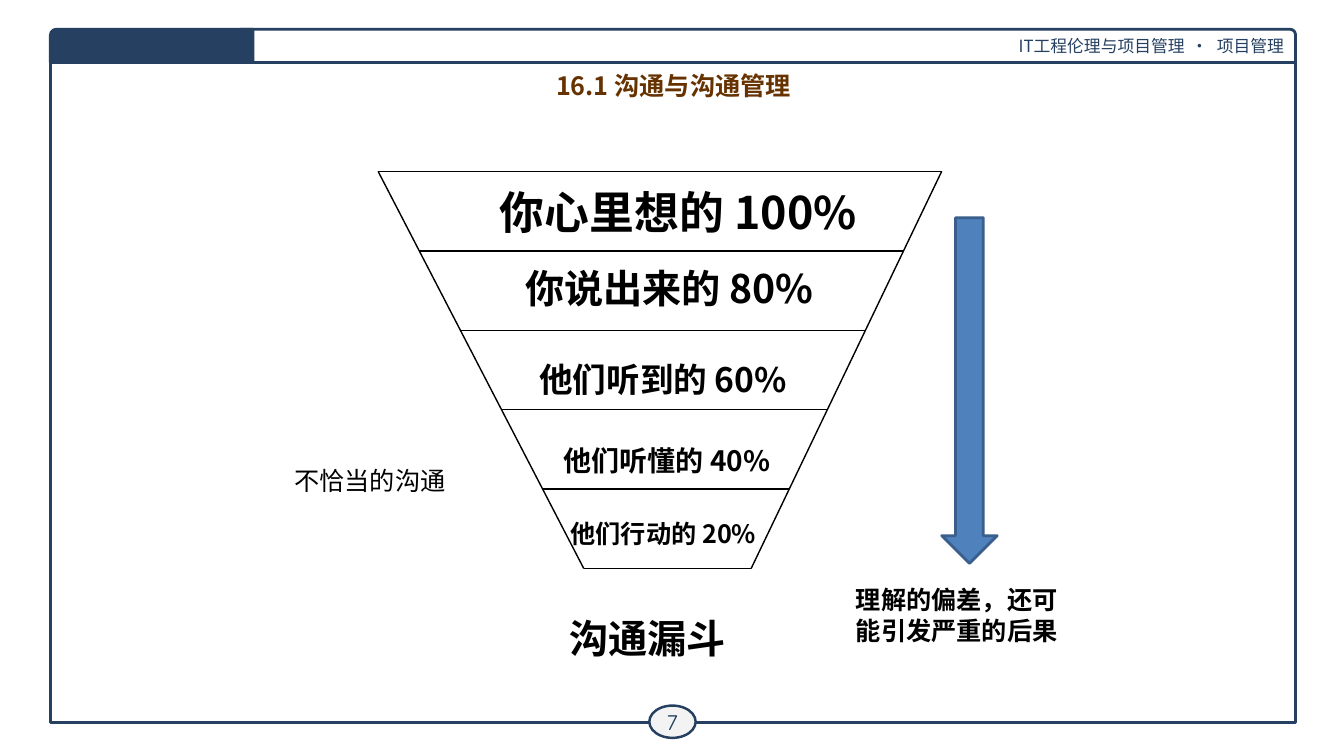
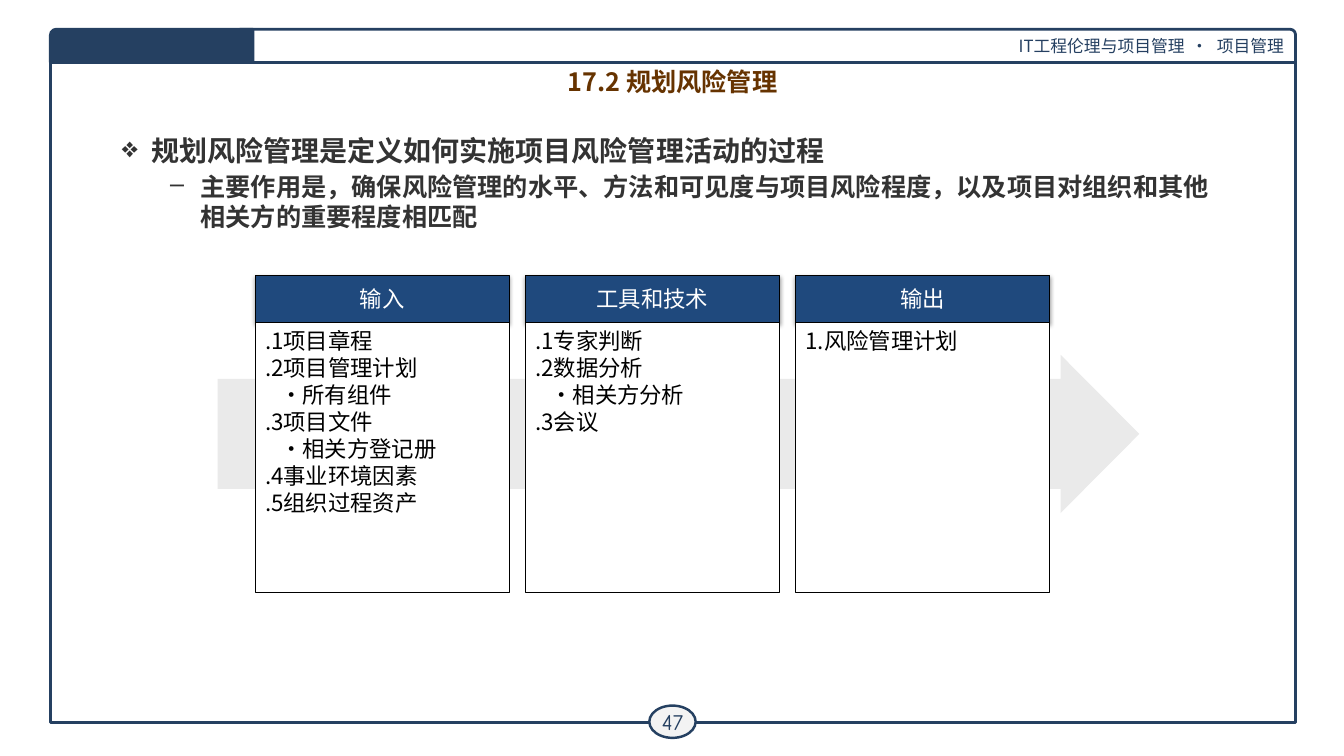
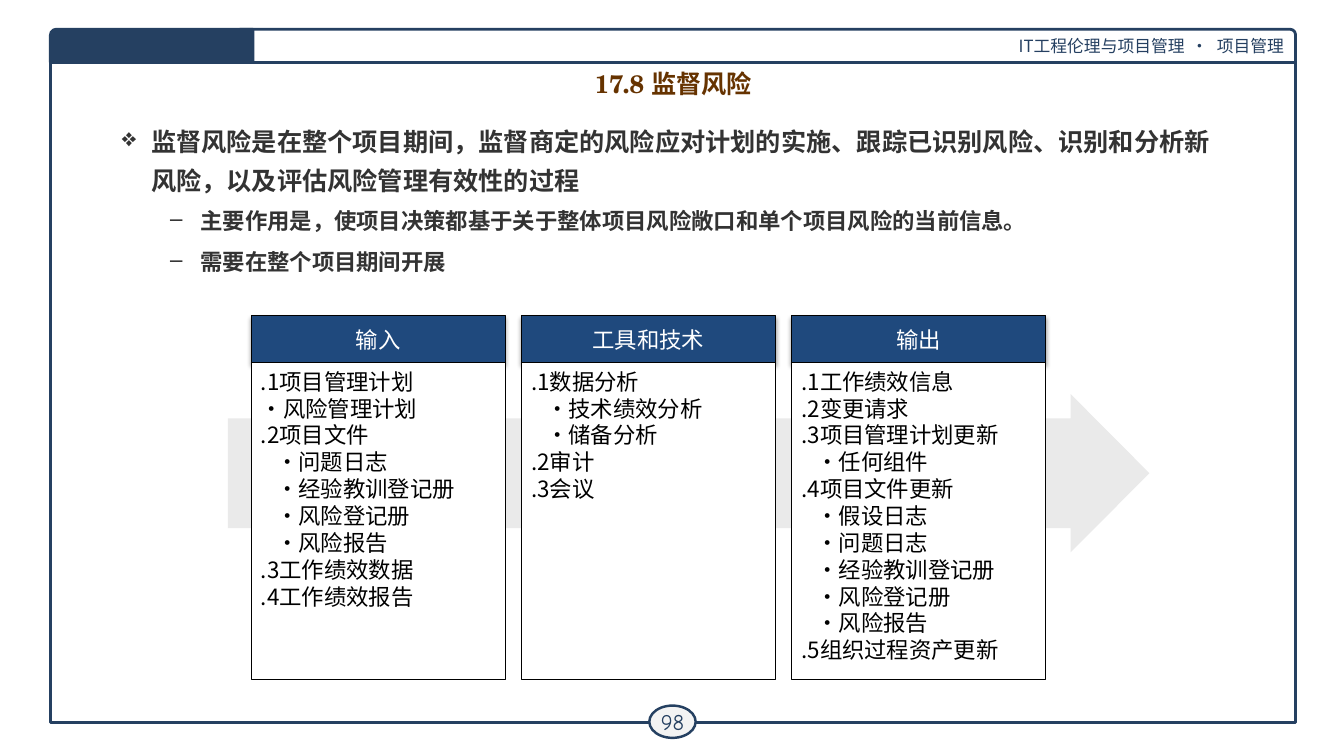
from dataclasses import dataclass
from itertools import pairwise

from lxml.etree import SubElement
from pptx import Presentation
from pptx.dml.color import RGBColor
from pptx.enum.shapes import MSO_CONNECTOR, MSO_SHAPE
from pptx.enum.text import MSO_ANCHOR, PP_ALIGN
from pptx.oxml.ns import qn
from pptx.util import Emu, Pt

PX = 9144  # EMU per px, 100 px to the inch


@dataclass(frozen=True)
class Theme:
    navy: str = "254061"
    header: str = "1F497D"
    arrow: str = "4F81BD"
    arrow_edge: str = "3A5F8C"
    flow: str = "EAEAEA"
    badge: str = "F3F3F3"
    title: str = "663300"
    body: str = "333333"
    black: str = "000000"
    white: str = "FFFFFF"
    font: str = "Noto Sans CJK SC"
    badge_font: str = "Comic Neue"
    text: int = 18
    item: int = 16
    small: int = 12


T = Theme()


@dataclass(frozen=True)
class Box:
    left: int
    top: int
    width: int
    height: int

    def emu(self) -> list[Emu]:
        return [Emu(v * PX) for v in (self.left, self.top, self.width, self.height)]


@dataclass(frozen=True)
class Label:
    text: str
    box: Box
    size: int = T.text
    bold: bool = True
    align: PP_ALIGN = PP_ALIGN.LEFT
    spacing: float = 1.0


@dataclass(frozen=True)
class Point:
    text: str
    size: int
    level: int = 0
    spacing: float = 1.0


@dataclass(frozen=True)
class Column:
    heading: str
    items: tuple[str, ...]


@dataclass(frozen=True)
class Process:
    number: int
    title: str
    title_box: Box
    title_font: str
    body_box: Box
    body_font: str
    points: tuple[Point, ...]
    arrow: Box
    left: int
    top: int
    height: int
    columns: tuple[Column, ...]


# Text
def add_run(p, text, *, size=T.text, color=T.black, bold=False, font=T.font, tracking=0):
    r = p.add_run()
    r.text = text
    r.font.size, r.font.bold, r.font.name = Pt(size), bold, font
    r.font.color.rgb = RGBColor.from_string(color)
    rPr = r.font._element
    SubElement(rPr, qn("a:ea")).set("typeface", T.font)
    if tracking:
        rPr.set("spc", str(tracking))


def write(tf, text, *, align=PP_ALIGN.LEFT, spacing=1.0, before=0.0, after=0.0,
          margin=0, hang=0, bullet="", **run_format):
    first = tf.paragraphs[0]
    p = tf.add_paragraph() if first.runs else first
    p.alignment, p.line_spacing = align, spacing
    p.space_before = Pt(before if p is not first else 0)
    p.space_after = Pt(after)
    pPr = p._p.get_or_add_pPr()
    pPr.set("marL", str(margin * PX))
    pPr.set("indent", str(-hang * PX))
    if bullet:
        SubElement(pPr, qn("a:buChar")).set("char", bullet)
    add_run(p, text, **run_format)
    return p


def add_text(slide, box: Box):
    tf = slide.shapes.add_textbox(*box.emu()).text_frame
    tf.word_wrap = True
    return tf


# Shapes
def add_box(slide, kind: MSO_SHAPE, box: Box, *, fill="", line="", weight=2.0,
            adjust=(), anchor=MSO_ANCHOR.MIDDLE):
    sp = slide.shapes.add_shape(kind, *box.emu())
    sp.shadow.inherit = False
    for i, value in enumerate(adjust):
        sp.adjustments[i] = value
    if fill:
        sp.fill.solid()
        sp.fill.fore_color.rgb = RGBColor.from_string(fill)
    else:
        sp.fill.background()
    if line:
        sp.line.color.rgb = RGBColor.from_string(line)
        sp.line.width = Pt(weight)
    else:
        sp.line.fill.background()
    sp.text_frame.word_wrap = True
    sp.text_frame.vertical_anchor = anchor
    return sp


def add_shadow(sp) -> None:
    effects = sp._element.spPr.find(qn("a:effectLst"))
    shadow = SubElement(effects, qn("a:outerShdw"), blurRad=str(Pt(3.1)),
                        dist=str(Pt(1.8)), dir="5400000", rotWithShape="0")
    color = SubElement(shadow, qn("a:srgbClr"), val=T.black)
    SubElement(color, qn("a:alpha"), val="35000")


def add_line(slide, start: tuple[int, int], end: tuple[int, int]) -> None:
    ends = [Emu(v * PX) for v in (*start, *end)]
    line = slide.shapes.add_connector(MSO_CONNECTOR.STRAIGHT, *ends)
    line.line.color.rgb = RGBColor.from_string(T.black)
    line.line.width = Pt(1)
    SubElement(line._element.spPr, qn("a:effectLst"))


# Frame, course band and page badge of every slide
def add_page(prs, number: int):
    slide = prs.slides.add_slide(prs.slide_layouts[6])
    add_box(slide, MSO_SHAPE.RECTANGLE, Box(50, 50, 1235, 667), line=T.navy)

    band = add_box(slide, MSO_SHAPE.ROUND_1_RECTANGLE, Box(238, 29, 1047, 33),
                   fill=T.white, line=T.navy)
    style = dict(size=T.small, color=T.navy)
    p = write(band.text_frame, "IT工程伦理与项目管理", align=PP_ALIGN.RIGHT, **style)
    add_run(p, " · ", tracking=180, **style)
    add_run(p, "项目管理", **style)

    badge = add_box(slide, MSO_SHAPE.OVAL, Box(644, 700, 46, 32),
                    fill=T.badge, line=T.navy, weight=1.75)
    tf = badge.text_frame
    tf.word_wrap = False
    tf.margin_left = tf.margin_right = tf.margin_top = tf.margin_bottom = Emu(4 * PX)
    write(tf, str(number), align=PP_ALIGN.CENTER, size=T.item, color=T.navy,
          font=T.badge_font)

    tab = add_box(slide, MSO_SHAPE.ROUND_1_RECTANGLE, Box(50, 29, 201, 33),
                  fill=T.navy, line=T.navy, adjust=(0.175,))
    tab._element.spPr.xfrm.set("flipH", "1")
    return slide


def add_title(slide, text: str, box: Box, font: str = T.font) -> None:
    write(add_text(slide, box), text, align=PP_ALIGN.CENTER, color=T.title,
          bold=True, font=font)


# Communication funnel
FUNNEL = ((375, 170), (934, 170), (745, 564), (579, 564))
STAGES = 5
FUNNEL_LABELS = (
    Label("你心里想的 100%", Box(486, 178, 410, 64), 32),
    Label("你说出来的 80%", Box(511, 257, 360, 57), 28),
    Label("他们听到的 60%", Box(525, 351, 299, 51), 24),
    Label("他们听懂的 40%", Box(549, 435, 299, 44), 20),
    Label("他们行动的 20%", Box(556, 509, 299, 40)),
    Label("沟通漏斗", Box(544, 595, 197, 62), 28, align=PP_ALIGN.CENTER, spacing=1.2),
    Label("不恰当的沟通", Box(282, 457, 187, 40), bold=False),
    Label("理解的偏差，还可能引发严重的后果", Box(839, 575, 237, 71)),
)


def between(start: tuple[int, int], end: tuple[int, int], share: float) -> tuple[int, int]:
    return (round(start[0] + (end[0] - start[0]) * share),
            round(start[1] + (end[1] - start[1]) * share))


def build_funnel(prs) -> None:
    slide = add_page(prs, 7)
    for start, end in pairwise((*FUNNEL, FUNNEL[0])):
        add_line(slide, start, end)
    top_left, top_right, low_right, low_left = FUNNEL
    for i in range(1, STAGES):
        add_line(slide, between(top_left, low_left, i / STAGES),
                 between(top_right, low_right, i / STAGES))
    add_box(slide, MSO_SHAPE.DOWN_ARROW, Box(934, 216, 55, 343),
            fill=T.arrow, line=T.arrow_edge)
    add_title(slide, "16.1 沟通与沟通管理", Box(218, 65, 900, 39))
    for label in FUNNEL_LABELS:
        write(add_text(slide, label.box), label.text, size=label.size,
              bold=label.bold, align=label.align, spacing=label.spacing)


# Process slides: inputs, tools and outputs over a flow arrow
COLUMN_WIDTH, COLUMN_STEP, HEADING_HEIGHT = 252, 268, 47
SUB_ITEM = 15  # indent of a sub-item
POINT_STYLES = (
    dict(margin=29, hang=29, bullet="❖", before=7.2, after=2.4),
    dict(margin=78, hang=30, bullet="–", before=0.4, after=0.1),
)
PROCESSES = (
    Process(
        47, "17.2 规划风险管理", Box(217, 61, 900, 48), T.font,
        Box(111, 111, 1111, 561), T.font,
        (Point("规划风险管理是定义如何实施项目风险管理活动的过程", 20, 0, 1.5),
         Point("主要作用是，确保风险管理的水平、方法和可见度与项目风险程度，"
               "以及项目对组织和其他相关方的重要程度相匹配", 18, 1)),
        Box(216, 352, 914, 157), 253, 273, 268,
        (Column("输入", (".1项目章程", ".2项目管理计划", ">·所有组件", ".3项目文件",
                       ">·相关方登记册", ".4事业环境因素", ".5组织过程资产")),
         Column("工具和技术", (".1专家判断", ".2数据分析", ">·相关方分析", ".3会议")),
         Column("输出", ("1.风险管理计划",))),
    ),
    Process(
        98, "17.8 监督风险", Box(218, 63, 900, 48), "TeX Gyre Schola",
        Box(111, 111, 1104, 185), "Cabin",
        (Point("监督风险是在整个项目期间，监督商定的风险应对计划的实施、跟踪已识别风险、"
               "识别和分析新风险，以及评估风险管理有效性的过程", 18, 0, 1.3),
         Point("主要作用是，使项目决策都基于关于整体项目风险敞口和单个项目风险的当前信息。",
               16, 1, 1.3),
         Point("需要在整个项目期间开展", 16, 1, 1.5)),
        Box(226, 391, 914, 157), 249, 313, 314,
        (Column("输入", (".1项目管理计划", "·风险管理计划", ".2项目文件", ">·问题日志",
                       ">·经验教训登记册", ">·风险登记册", ">·风险报告",
                       ".3工作绩效数据", ".4工作绩效报告")),
         Column("工具和技术", (".1数据分析", ">·技术绩效分析", ">·储备分析",
                          ".2审计", ".3会议")),
         Column("输出", (".1工作绩效信息", ".2变更请求", ".3项目管理计划更新", ">·任何组件",
                       ".4项目文件更新", ">·假设日志", ">·问题日志", ">·经验教训登记册",
                       ">·风险登记册", ">·风险报告", ".5组织过程资产更新"))),
    ),
)


def add_column(slide, column: Column, left: int, top: int, height: int) -> None:
    heading = add_box(slide, MSO_SHAPE.RECTANGLE,
                      Box(left, top, COLUMN_WIDTH, HEADING_HEIGHT),
                      fill=T.header, line=T.black, weight=0.75)
    add_shadow(heading)
    write(heading.text_frame, column.heading, align=PP_ALIGN.CENTER,
          size=T.item, color=T.white)
    panel = add_box(slide, MSO_SHAPE.RECTANGLE,
                    Box(left, top + HEADING_HEIGHT, COLUMN_WIDTH, height),
                    fill=T.white, line=T.black, weight=0.75, anchor=MSO_ANCHOR.TOP)
    for item in column.items:
        write(panel.text_frame, item.removeprefix(">"), size=T.item,
              margin=SUB_ITEM if item.startswith(">") else 0)


def build_process(prs, process: Process) -> None:
    slide = add_page(prs, process.number)
    tf = add_text(slide, process.body_box)
    for point in process.points:
        write(tf, point.text, size=point.size, spacing=point.spacing, color=T.body,
              bold=True, font=process.body_font, **POINT_STYLES[point.level])
    add_title(slide, process.title, process.title_box, process.title_font)
    add_box(slide, MSO_SHAPE.RIGHT_ARROW, process.arrow, fill=T.flow,
            adjust=(0.694, 0.497))
    for i, column in enumerate(process.columns):
        add_column(slide, column, process.left + i * COLUMN_STEP, process.top,
                   process.height)


def main() -> None:
    prs = Presentation()
    prs.slide_width, prs.slide_height = Emu(1333 * PX), Emu(750 * PX)
    build_funnel(prs)
    for process in PROCESSES:
        build_process(prs, process)
    prs.save("out.pptx")


if __name__ == "__main__":
    main()
